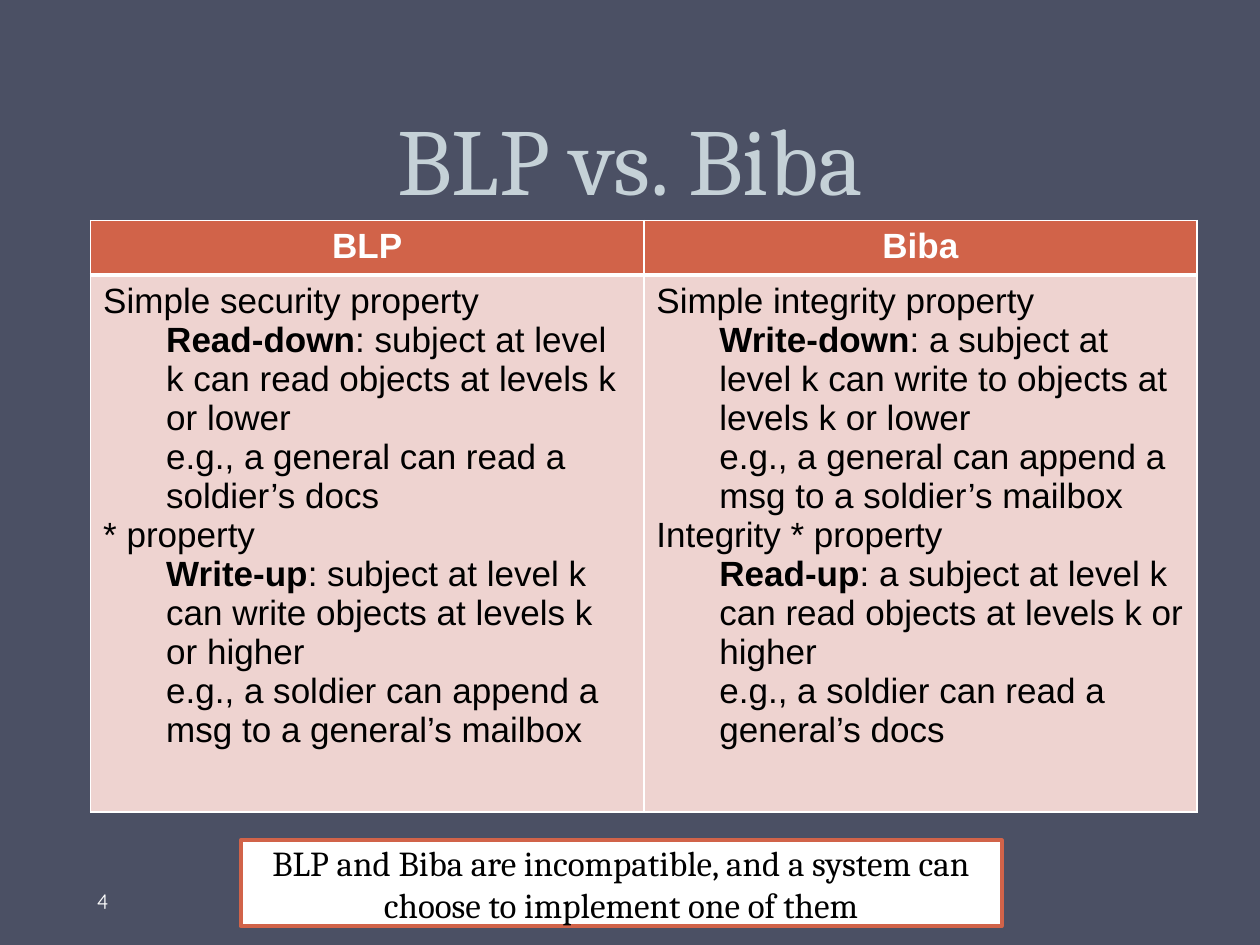
from dataclasses import dataclass, field

from pptx import Presentation
from pptx.dml.color import RGBColor as RGB
from pptx.enum.shapes import MSO_SHAPE as Shape
from pptx.enum.text import MSO_ANCHOR as Anchor, PP_ALIGN as Align
from pptx.oxml.ns import qn
from pptx.util import Pt
from lxml.etree import SubElement

COLORS = {
    "background": "4B5064",
    "title": "C5D1D7",
    "accent": "D16349",
    "body": "EED3D0",
    "white": "FFFFFF",
    "black": "000000",
}


def color(name: str) -> RGB:
    return RGB.from_string(COLORS[name])


@dataclass
class Style:
    font: str
    size: float
    color: str
    align: Align = Align.LEFT
    bold: bool = False


@dataclass
class Box:
    text: str
    style: Style
    left: float
    top: float
    width: float
    height: float
    anchor: Anchor = Anchor.MIDDLE
    frame: dict = field(default_factory=dict)
    para: dict = field(default_factory=dict)


@dataclass
class Rule:
    name: str
    term: str
    meaning: str
    example: str


@dataclass
class Model:
    name: str
    rules: list[Rule]


TITLE = Style("Cambria", 54, "title", Align.CENTER)
NUMBER = Style("Quicksand", 12, "white")
NOTE = Style("Cambria", 20, "black", Align.CENTER)
HEADER = Style("Arial", 20, "white", Align.CENTER, True)
BODY = Style("Arial", 20, "black")
INDENT = Pt(36)

BOXES = [
    Box("BLP vs. Biba", TITLE, 36, 0, 648, 126, Anchor.BOTTOM,
        para={"line_spacing": Pt(58)}),
    Box("4", NUMBER, 51.8, 500.4, 224, 28.8,
        frame={"margin_left": Pt(3.6)}),
]
CONCLUSION = Box(
    "BLP and Biba are incompatible, and a system can choose to implement one of them",
    NOTE, 137.5, 480.2, 434.9, 49)

MODELS = [
    Model("BLP", [
        Rule("Simple security property", "Read-down",
             ": subject at level k can read objects at levels k or lower",
             "e.g., a general can read a soldier’s docs"),
        Rule("* property", "Write-up",
             ": subject at level k can write objects at levels k or higher",
             "e.g., a soldier can append a msg to a general’s mailbox"),
    ]),
    Model("Biba", [
        Rule("Simple integrity property", "Write-down",
             ": a subject at level k can write to objects at levels k or lower",
             "e.g., a general can append a msg to a soldier’s mailbox"),
        Rule("Integrity * property", "Read-up",
             ": a subject at level k can read objects at levels k or higher",
             "e.g., a soldier can read a general’s docs"),
    ]),
]


def set_all(obj, values: dict) -> None:
    for name, value in values.items():
        setattr(obj, name, value)


def add_run(p, text: str, style: Style, bold: bool = False) -> None:
    r = p.add_run()
    r.text = text
    set_all(r.font, {"name": style.font, "size": Pt(style.size),
                     "bold": bold or style.bold})
    r.font.color.rgb = color(style.color)


def fill_box(sp, box: Box) -> None:
    tf = sp.text_frame
    set_all(tf, {"word_wrap": True, "vertical_anchor": box.anchor, **box.frame})
    p = tf.paragraphs[0]
    set_all(p, {"alignment": box.style.align, **box.para})
    add_run(p, box.text, box.style)


def bounds(box: Box) -> list:
    return [Pt(v) for v in (box.left, box.top, box.width, box.height)]


def paint_cell(cell, fill: str, top: float, bottom: float) -> None:
    """Give the cell white borders, then its fill, in schema order."""
    props = cell._tc.get_or_add_tcPr()
    for side, width in {"L": 1, "R": 1, "T": top, "B": bottom}.items():
        ln = SubElement(props, qn(f"a:ln{side}"), w=str(Pt(width)))
        SubElement(SubElement(ln, qn("a:solidFill")), qn("a:srgbClr"),
                   val=COLORS["white"])
    cell.fill.solid()
    cell.fill.fore_color.rgb = color(fill)


def write_rules(tf, rules: list[Rule]) -> None:
    lines = []
    for rule in rules:
        lines += [(0, "", rule.name), (1, rule.term, rule.meaning),
                  (1, "", rule.example)]
    for i, (level, term, text) in enumerate(lines):
        p = tf.add_paragraph() if i else tf.paragraphs[0]
        if level:
            p.level = level
            p._p.get_or_add_pPr().set("marL", str(INDENT))
            p._p.get_or_add_pPr().set("indent", "0")
        if term:
            add_run(p, term, BODY, bold=True)
        add_run(p, text, BODY)


def add_comparison(s, models: list[Model]) -> None:
    heights = (30.2, 306.7)
    col_width = 316.1
    table = s.shapes.add_table(2, len(models), Pt(51.8), Pt(126),
                               Pt(col_width * len(models)), Pt(sum(heights))).table
    table.horz_banding = False
    for row, height in zip(table.rows, heights):
        row.height = Pt(height)
    for c, model in enumerate(models):
        table.columns[c].width = Pt(col_width)
        head, body = table.cell(0, c), table.cell(1, c)
        paint_cell(head, "accent", 1, 3)
        paint_cell(body, "body", 3, 1)
        p = head.text_frame.paragraphs[0]
        p.alignment = HEADER.align
        add_run(p, model.name, HEADER)
        write_rules(body.text_frame, model.rules)


def add_conclusion(s, box: Box) -> None:
    sp = s.shapes.add_shape(Shape.RECTANGLE, *bounds(box))
    sp.shadow.inherit = False
    sp.fill.solid()
    sp.fill.fore_color.rgb = color("white")
    sp.line.color.rgb = color("accent")
    sp.line.width = Pt(2.25)
    fill_box(sp, box)


def main() -> None:
    prs = Presentation()
    set_all(prs, {"slide_width": Pt(720), "slide_height": Pt(540)})
    s = prs.slides.add_slide(prs.slide_layouts[6])
    s.background.fill.solid()
    s.background.fill.fore_color.rgb = color("background")
    for box in BOXES:
        fill_box(s.shapes.add_textbox(*bounds(box)), box)
    add_comparison(s, MODELS)
    add_conclusion(s, CONCLUSION)
    prs.save("out.pptx")


if __name__ == "__main__":
    main()
